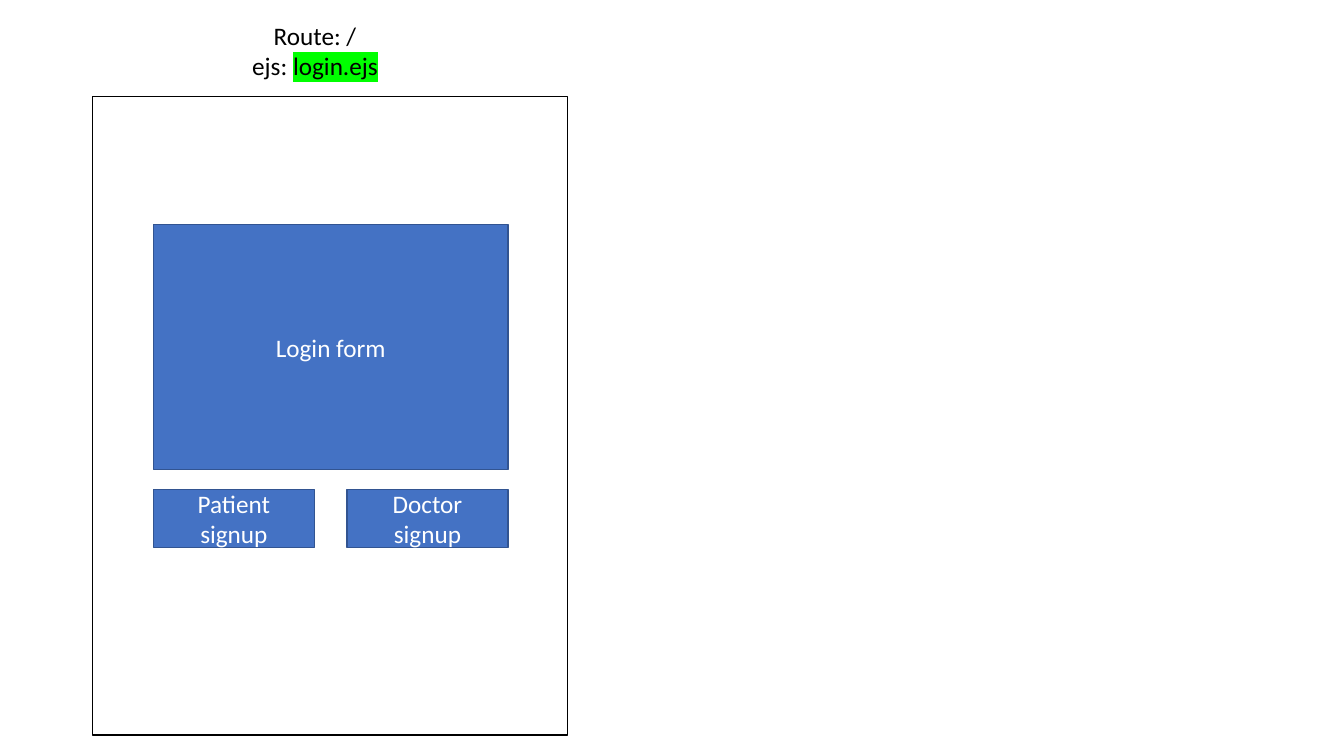
from lxml import etree
from pptx import Presentation
from pptx.dml.color import RGBColor
from pptx.enum.shapes import MSO_SHAPE
from pptx.enum.text import MSO_ANCHOR, MSO_AUTO_SIZE, PP_ALIGN
from pptx.oxml.ns import qn
from pptx.util import Inches, Pt

RECTANGLE = MSO_SHAPE.RECTANGLE
MIDDLE = MSO_ANCHOR.MIDDLE
CENTER = PP_ALIGN.CENTER
FIT_SHAPE = MSO_AUTO_SIZE.SHAPE_TO_FIT_TEXT

COLORS = {
    "ink": "000000",
    "box": "4472C4",
    "box_line": "325491",
    "box_text": "FFFFFF",
    "highlight": "00FF00",
}

# The grid starts at the form's top left corner, in inches.
GRID_LEFT, GRID_TOP = 1.52, 2.23
COLUMN, ROW = 0.32, 0.19

FORM_COLUMNS, FORM_ROWS = 11, 12.79
BUTTON_COLUMNS, BUTTON_ROWS = 5, 3
BUTTON_GAP = FORM_COLUMNS - 2 * BUTTON_COLUMNS
BUTTON_TOP = FORM_ROWS + 1.05


class WireframeSlide:
    """Hold the text style and the slide being drawn."""

    font_name = "Calibri"
    font_size = Pt(18)
    line_width = Pt(1)

    def __init__(self, presentation):
        """Add a blank slide."""
        self.slide = presentation.slides.add_slide(presentation.slide_layouts[6])

    def place(self, column, row, columns, rows):
        """Turn grid units into left, top, width and height."""
        return (
            Inches(GRID_LEFT + column * COLUMN),
            Inches(GRID_TOP + row * ROW),
            Inches(columns * COLUMN),
            Inches(rows * ROW),
        )

    def format_paragraph(self, paragraph, color):
        """Centre a paragraph and style its runs."""
        paragraph.alignment = CENTER
        for run in paragraph.runs:
            run.font.size = self.font_size
            run.font.color.rgb = RGBColor.from_string(COLORS[color])
            run.font.name = self.font_name

    def highlight(self, run, color):
        """Mark a formatted run with a background colour."""
        marker = etree.Element(qn("a:highlight"))
        etree.SubElement(marker, qn("a:srgbClr"), val=COLORS[color])
        run.font.fill  # the highlight follows the fill in the schema
        run._r.get_or_add_rPr().find(qn("a:solidFill")).addnext(marker)

    def rectangle(self, area, line):
        """Draw an unfilled rectangle."""
        shape = self.slide.shapes.add_shape(RECTANGLE, *self.place(*area))
        shape.shadow.inherit = False
        shape.fill.background()
        shape.line.color.rgb = RGBColor.from_string(COLORS[line])
        shape.line.width = self.line_width
        return shape

    def box(self, area, text):
        """Draw a filled rectangle with a centred caption."""
        shape = self.rectangle(area, "box_line")
        shape.fill.solid()
        shape.fill.fore_color.rgb = RGBColor.from_string(COLORS["box"])
        text_frame = shape.text_frame
        text_frame.text = text
        text_frame.word_wrap = True
        text_frame.vertical_anchor = MIDDLE
        self.format_paragraph(text_frame.paragraphs[0], "box_text")

    def label(self, area, text, marked_text):
        """Write a label that ends in highlighted text."""
        text_box = self.slide.shapes.add_textbox(*self.place(*area))
        text_frame = text_box.text_frame
        text_frame.word_wrap = True
        text_frame.auto_size = FIT_SHAPE
        paragraph = text_frame.paragraphs[0]
        paragraph.text = text
        marked_run = paragraph.add_run()
        marked_run.text = marked_text
        self.format_paragraph(paragraph, "ink")
        self.highlight(marked_run, "highlight")


def main():
    """Build the login page wireframe."""
    presentation = Presentation()
    presentation.slide_width = Inches(13.33)
    presentation.slide_height = Inches(7.5)
    login_page = WireframeSlide(presentation)

    login_page.rectangle((-1.88, -6.68, 14.72, 33.32), "ink")
    login_page.label((1.03, -10.95, 7.97, 3.74), "Route: /\vejs: ", "login.ejs")
    login_page.box((0, 0, FORM_COLUMNS, FORM_ROWS), "Login form")
    for index, caption in enumerate(("Patient signup", "Doctor signup")):
        column = index * (BUTTON_COLUMNS + BUTTON_GAP)
        login_page.box((column, BUTTON_TOP, BUTTON_COLUMNS, BUTTON_ROWS), caption)

    presentation.save("out.pptx")


main()
